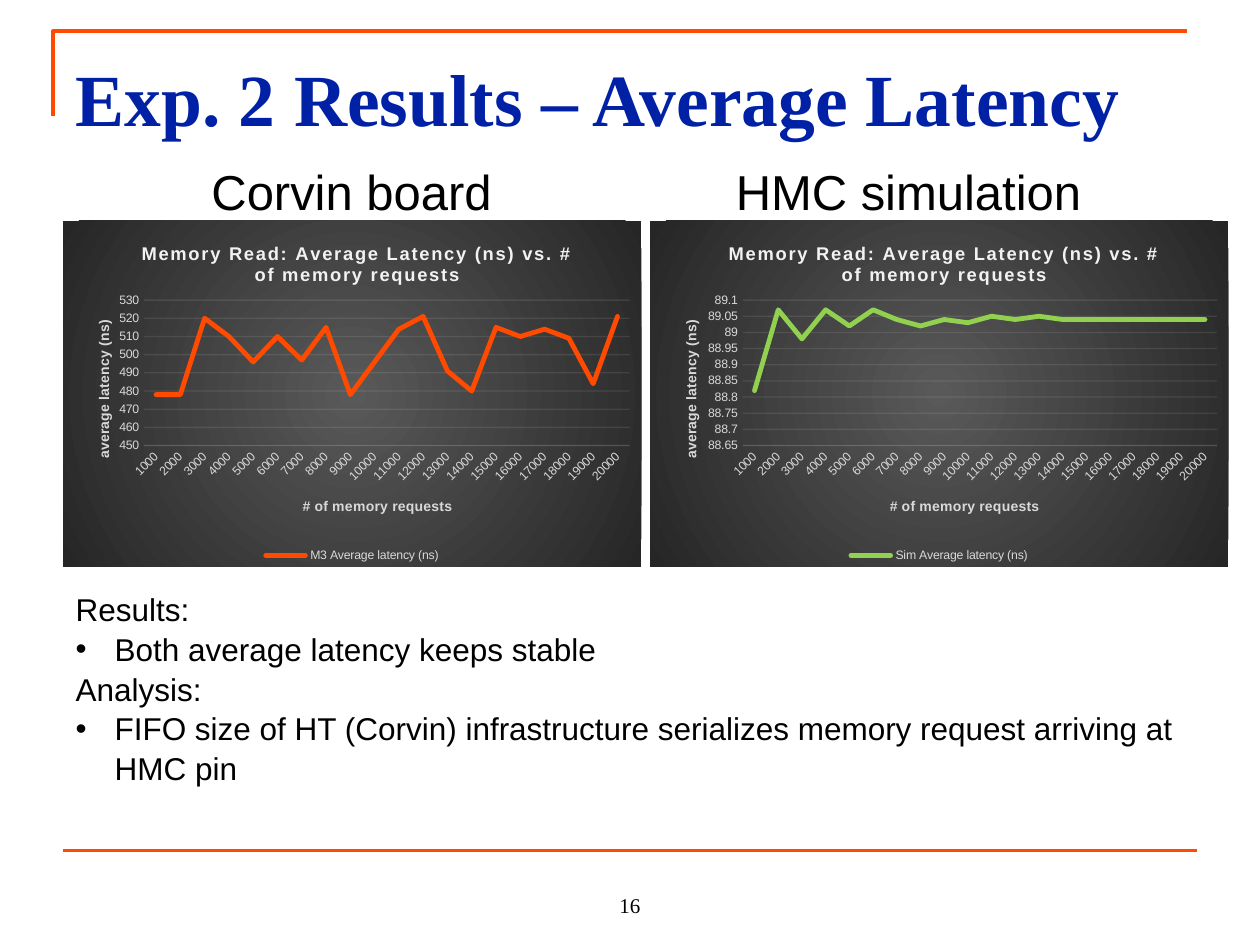
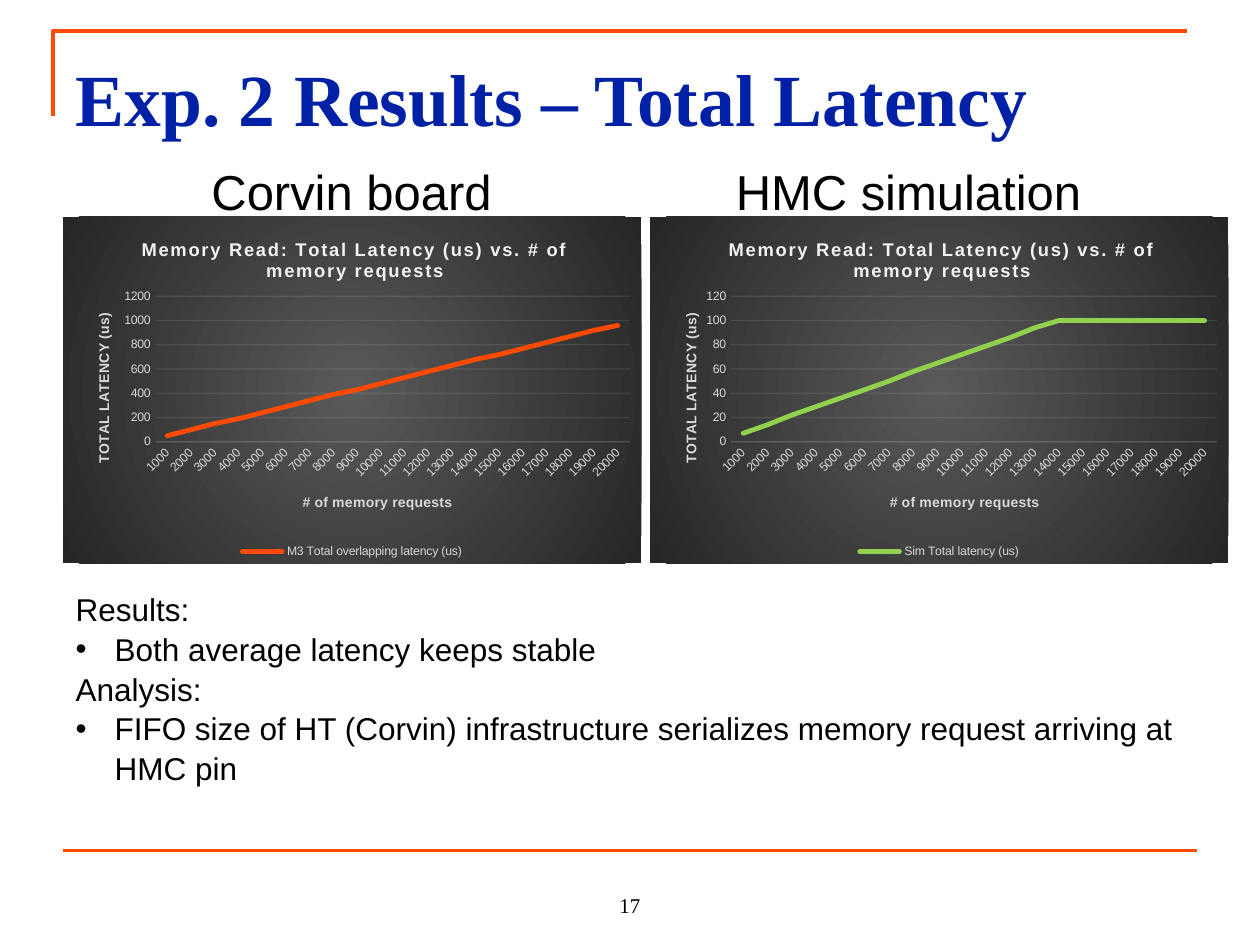
from dataclasses import dataclass
from typing import NamedTuple

from lxml import etree
from pptx import Presentation
from pptx import util as u
from pptx.chart.data import CategoryChartData
from pptx.dml.color import RGBColor
from pptx.enum import chart as charts, shapes, text
from pptx.oxml import parse_xml
from pptx.oxml.ns import nsdecls, qn

COLORS = {
    "accent": "FF4A00", "title": "0021A5", "body": "000000", "simulation": "92D050",
    "chart_title": "F2F2F2", "chart_text": "D9D9D9", "glow": "595959", "edge": "262626",
}
SANS, SERIF = "Arial", "Times New Roman"
WIDTH, HEIGHT = u.Inches(10), u.Inches(7.5)
COLS, ROWS = 40, 30
FIRST_PAGE = 16
REQUESTS = [str(count) for count in range(1000, 20001, 1000)]
FINDINGS = [
    ("Results:", False),
    ("Both average latency keeps stable", True),
    ("Analysis:", False),
    ("FIFO size of HT (Corvin) infrastructure serializes memory request arriving at HMC pin", True),
]


class Box(NamedTuple):
    """A place in grid columns and rows."""
    col: float
    row: float
    cols: float
    rows: float


class Scale(NamedTuple):
    """The range and step of a value axis."""
    low: float
    high: float
    step: float


@dataclass
class Latency:
    """One measured series with its axis."""
    label: str
    values: list[float]
    scale: Scale
    plot_left: float


@dataclass
class Result:
    """One results slide comparing board and simulation."""
    title: str
    chart_title: str
    axis_title: str
    axis_title_top: float
    chart_row: float
    board: Latency
    simulation: Latency


TITLE = Box(2, 1.2, 36, 4.12)
HEADINGS = {"Corvin board": Box(4.64, 4.8, 13.04, 2.2), "HMC simulation": Box(22.32, 4.8, 13.04, 2.2)}
FINDINGS_BOX = Box(2, 18.48, 37, 7.68)
PAGE = Box(16, 27.32, 8, 2)
CHART_COLS, CHART_ROWS = 18.36, 11
BOARD_COL, SIMULATION_COL = 2, 20.64

RESULTS = [
    Result(
        "Exp. 2 Results – Average Latency",
        "Memory Read: Average Latency (ns) vs. # of memory requests",
        "average latency (ns)", 0.28, 7,
        Latency("M3 Average latency (ns)",
                [478, 478, 520, 510, 496, 510, 497, 515, 478, 496,
                 514, 521, 491, 480, 515, 510, 514, 509, 484, 521],
                Scale(450, 530, 10), 0.14),
        Latency("Sim Average latency (ns)",
                [88.82, 89.07, 88.98, 89.07, 89.02, 89.07, 89.04, 89.02, 89.04, 89.03,
                 89.05, 89.04, 89.05] + [89.04] * 7,
                Scale(88.65, 89.1, 0.05), 0.16),
    ),
    Result(
        "Exp. 2 Results – Total Latency",
        "Memory Read: Total Latency (us) vs. # of memory requests",
        "TOTAL LATENCY (us)", 0.27, 6.88,
        Latency("M3 Total overlapping latency (us)",
                [50, 100, 150, 190, 240, 290, 340, 390, 430, 480,
                 530, 580, 630, 680, 720, 770, 820, 870, 920, 960],
                Scale(0, 1200, 200), 0.16),
        Latency("Sim Total latency (us)",
                [7, 14, 22, 29, 36, 43, 50, 58, 65, 72, 79, 86, 94] + [100] * 7,
                Scale(0, 120, 20), 0.14),
    ),
]


def across(cols: float) -> int:
    """Turn grid columns into a length."""
    return round(WIDTH * cols / COLS)


def down(rows: float) -> int:
    """Turn grid rows into a length."""
    return round(HEIGHT * rows / ROWS)


def frame(box: Box) -> tuple[int, int, int, int]:
    """Give left, top, width and height of a box."""
    return across(box.col), down(box.row), across(box.cols), down(box.rows)


def move(shape, box: Box) -> None:
    """Put a shape into its box."""
    shape.left, shape.top, shape.width, shape.height = frame(box)


def style(font, size: float, color: str, name: str = SANS, bold: bool = False) -> None:
    """Set the look of a font."""
    font.size, font.name, font.bold = u.Pt(size), name, bold
    font.color.rgb = RGBColor.from_string(COLORS[color])


def stroke(line, color: str, width: float) -> None:
    """Set the colour and width of a line."""
    line.color.rgb = RGBColor.from_string(COLORS[color])
    line.width = u.Pt(width)


def write(shape, box: Box, words: str, anchor=text.MSO_ANCHOR.TOP, align=text.PP_ALIGN.CENTER):
    """Fill a shape with one paragraph and return it."""
    move(shape, box)
    body = shape.text_frame
    body.word_wrap, body.auto_size = True, text.MSO_AUTO_SIZE.NONE
    body.vertical_anchor = anchor
    body.text = words
    body.paragraphs[0].alignment = align
    body.paragraphs[0].space_before = u.Pt(0)
    return body.paragraphs[0]


def draw_rules(slide) -> None:
    """Draw the corner rule and the footer rule."""
    left, top = across(1.68), down(1)
    outline = slide.shapes.build_freeform(left, down(3.68), scale=1.0)
    outline.add_line_segments([(left, top), (across(37.68), top)], close=False)
    corner = outline.convert_to_shape()
    corner.fill.background()
    corner.shadow.inherit = False
    stroke(corner.line, "accent", 2.25)
    footer = slide.shapes.add_connector(
        shapes.MSO_CONNECTOR.STRAIGHT, across(2), down(27), across(38), down(27))
    stroke(footer.line, "accent", 2.25)
    etree.SubElement(footer.element.find(qn("p:spPr")), qn("a:effectLst"))


def write_findings(holder) -> None:
    """Write the headed list of findings."""
    move(holder, FINDINGS_BOX)
    body = holder.text_frame
    body.auto_size = text.MSO_AUTO_SIZE.NONE
    body.text = "\n".join(words for words, _ in FINDINGS)
    for paragraph, (_, bulleted) in zip(body.paragraphs, FINDINGS):
        properties = paragraph._p.get_or_add_pPr()
        indent = u.Inches(0.31) if bulleted else 0
        properties.set("marL", str(indent))
        properties.set("indent", str(-indent))
        if bulleted:
            etree.SubElement(properties, qn("a:buChar")).set("char", "•")
        else:
            etree.SubElement(properties, qn("a:buNone"))
        paragraph.space_before, paragraph.line_spacing = u.Pt(0), 1.05
        style(paragraph.font, 18, "body")


def place(part, index: int, **shares: float) -> None:
    """Fix a chart part at shares of the chart's size."""
    for previous in part.findall(qn("c:layout")):
        part.remove(previous)
    layout = etree.Element(qn("c:layout"))
    manual = etree.SubElement(layout, qn("c:manualLayout"))
    settings = {"xMode": "edge", "yMode": "edge", **shares}
    if "w" in shares:
        settings = {"layoutTarget": "inner", **settings}
    for key, value in settings.items():
        etree.SubElement(manual, qn(f"c:{key}")).set("val", str(value))
    part.insert(index, layout)


def caption(owner, words: str, size: float, color: str, x: float, y: float):
    """Give a chart or an axis its placed title and return the title."""
    owner.has_title = True
    title = owner.chart_title if hasattr(owner, "chart_title") else owner.axis_title
    title.text_frame.text = words
    style(title.text_frame.paragraphs[0].font, size, color, bold=True)
    place(title.element, 1, x=x, y=y)
    return title


def paint_background(chart) -> None:
    """Fill the chart with a round gradient."""
    stops = "".join(
        f'<a:gs pos="{position}"><a:srgbClr val="{COLORS[color]}"/></a:gs>'
        for position, color in ((0, "glow"), (100000, "edge")))
    chart.element.find(qn("c:chart")).addnext(parse_xml(
        f'<c:spPr {nsdecls("c", "a")}><a:gradFill><a:gsLst>{stops}</a:gsLst>'
        '<a:path path="circle"><a:fillToRect l="50000" t="50000" r="50000" b="50000"/></a:path>'
        '</a:gradFill><a:ln><a:noFill/></a:ln></c:spPr>'))


def draw_chart(slide, result: Result, latency: Latency, col: float, color: str) -> None:
    """Draw one latency line chart."""
    data = CategoryChartData()
    data.categories = REQUESTS
    data.add_series(latency.label, latency.values)
    box = Box(col, result.chart_row, CHART_COLS, CHART_ROWS)
    chart = slide.shapes.add_chart(charts.XL_CHART_TYPE.LINE, *frame(box), data).chart
    style(chart.font, 10, "body")
    paint_background(chart)

    heading = caption(chart, result.chart_title, 10.5, "chart_title", 0.13, 0.05)
    for properties in heading.element.iter(qn("a:defRPr")):
        properties.set("spc", "100")
    requests, values = chart.category_axis, chart.value_axis
    caption(requests, "# of memory requests", 8, "chart_text", 0.41, 0.79)
    caption(values, result.axis_title, 8, "chart_text", 0.05, result.axis_title_top)
    place(chart.element.find(".//" + qn("c:plotArea")), 0,
          x=latency.plot_left, y=0.23, w=round(0.98 - latency.plot_left, 2), h=0.42)

    for axis in (requests, values):
        axis.major_tick_mark = axis.minor_tick_mark = charts.XL_TICK_MARK.NONE
        style(axis.tick_labels.font, 7, "chart_text")
    values.minimum_scale, values.maximum_scale, values.major_unit = latency.scale
    values.tick_labels.number_format = "General"
    values.tick_labels.number_format_is_linked = False
    values.format.line.fill.background()
    values.has_major_gridlines = True
    for line in (values.major_gridlines.format.line, requests.format.line):
        stroke(line, "chart_title", 0.75)
    for tint in chart.element.xpath(
            ".//c:majorGridlines//a:srgbClr | .//c:catAx/c:spPr//a:srgbClr"):
        etree.SubElement(tint, qn("a:alpha")).set("val", "10000")
    for labels in chart.element.xpath(".//c:catAx/c:txPr/a:bodyPr"):
        labels.set("rot", "-2700000")

    plot = chart.plots[0]
    plot.vary_by_categories = False
    series = plot.series[0]
    series.smooth = False
    stroke(series.format.line, color, 2.75)
    for line in chart.element.xpath(".//c:ser/c:spPr/a:ln"):
        line.set("cap", "rnd")

    chart.has_legend = True
    chart.legend.position = charts.XL_LEGEND_POSITION.BOTTOM
    chart.legend.include_in_layout = False
    style(chart.legend.font, 7, "chart_text")


def add_result(deck, result: Result, page: int) -> None:
    """Add one results slide."""
    slide = deck.slides.add_slide(deck.slide_layouts.get_by_name("Comparison"))
    title, board, findings, simulation, spare = slide.placeholders
    spare.element.getparent().remove(spare.element)
    draw_rules(slide)

    heading = write(title, TITLE, result.title, align=text.PP_ALIGN.LEFT)
    title.text_frame.margin_top = u.Inches(0.12)
    style(heading.font, 42, "title", SERIF, bold=True)
    for holder, (words, box) in zip((board, simulation), HEADINGS.items()):
        style(write(holder, box, words).font, 28, "body")
        holder.text_frame.margin_top = u.Inches(0.08)
    write_findings(findings)

    draw_chart(slide, result, result.board, BOARD_COL, "accent")
    draw_chart(slide, result, result.simulation, SIMULATION_COL, "simulation")
    number = write(slide.shapes.add_textbox(*frame(PAGE)), PAGE, str(page), text.MSO_ANCHOR.BOTTOM)
    style(number.font, 12, "body", SERIF)


def main() -> None:
    """Build and save the deck."""
    deck = Presentation()
    deck.slide_width, deck.slide_height = WIDTH, HEIGHT
    for page, result in enumerate(RESULTS, FIRST_PAGE):
        add_result(deck, result, page)
    deck.save("out.pptx")


if __name__ == "__main__":
    main()
